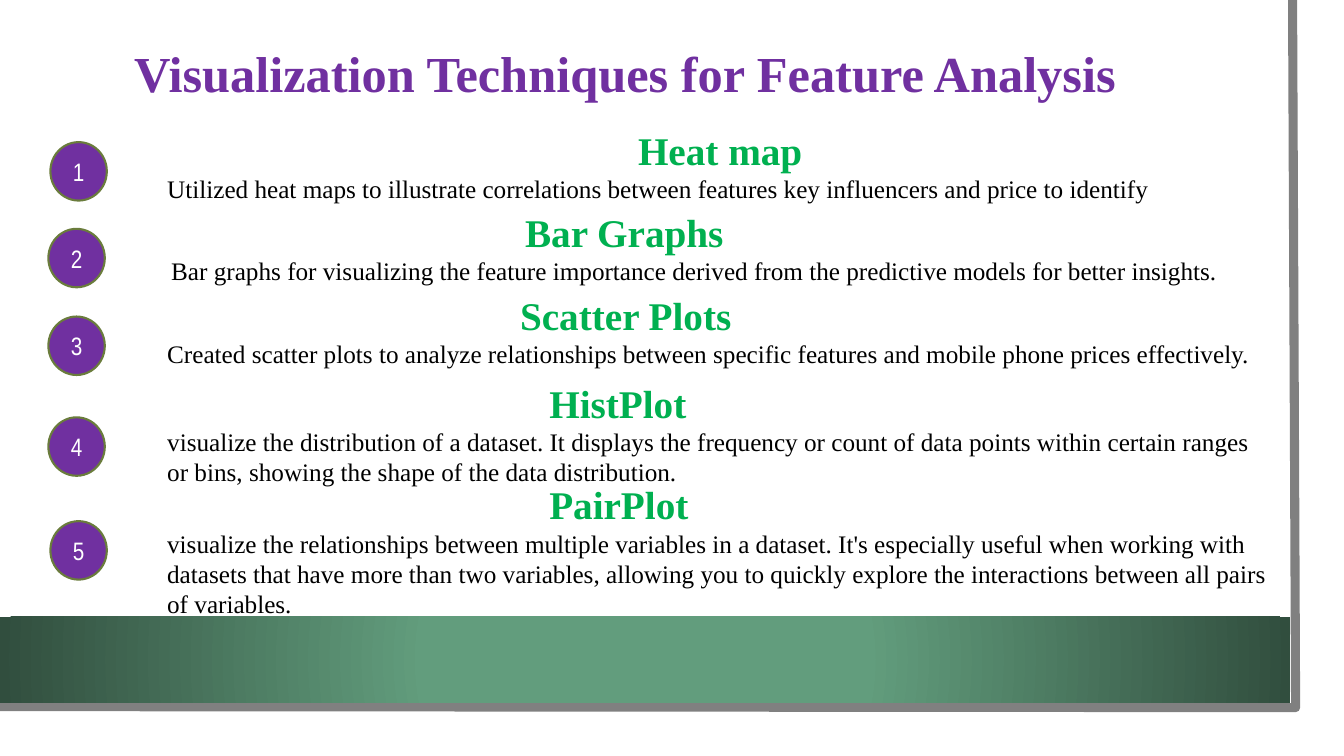
from lxml import etree
from pptx import Presentation
from pptx.dml.color import RGBColor
from pptx.enum.shapes import MSO_SHAPE
from pptx.enum.text import MSO_ANCHOR, MSO_AUTO_SIZE, PP_ALIGN
from pptx.oxml import parse_xml
from pptx.util import Inches, Pt

RECT, OVAL = MSO_SHAPE.RECTANGLE, MSO_SHAPE.OVAL
TOP, MIDDLE = MSO_ANCHOR.TOP, MSO_ANCHOR.MIDDLE
LEFT, CENTER = PP_ALIGN.LEFT, PP_ALIGN.CENTER
NO_FIT = MSO_AUTO_SIZE.NONE
NS = "http://schemas.openxmlformats.org/drawingml/2006/main"

COLORS = {
    "white": "FFFFFF",
    "black": "000000",
    "purple": "7030A0",
    "green": "00B050",
    "olive": "6A7C3C",
    "gray": "808080",
    "band_light": "629D7D",
    "band_dark": "314E3E",
}
SERIF, NARROW = "Times New Roman", "Arial Narrow"

TECHNIQUES = [
    ("Heat map",
     "Utilized heat maps to illustrate correlations between features key influencers and price to identify",
     (1.56, 1.2, 10.95, 0.88), 4.67, (0.5, 1.41)),
    ("Bar Graphs",
     "Bar graphs for visualizing the feature importance derived from the predictive models for better insights.",
     (1.6, 2.02, 11.13, 0.88), 3.51, (0.48, 2.27)),
    ("Scatter Plots",
     "Created scatter plots to analyze relationships between specific features and mobile phone prices effectively.",
     (1.56, 2.84, 10.95, 0.88), 3.5, (0.48, 3.14)),
    ("HistPlot",
     "visualize the distribution of a dataset. It displays the frequency or count of data points within "
     "certain ranges or bins, showing the shape of the data distribution.",
     (1.56, 3.71, 10.95, 1.18), 3.79, (0.48, 4.14)),
    ("PairPlot",
     "visualize the relationships between multiple variables in a dataset. It's especially useful when "
     "working with datasets that have more than two variables, allowing you to quickly explore the "
     "interactions between all pairs of variables.",
     (1.56, 4.72, 11.17, 1.48), 3.79, (0.5, 5.17)),
]


def rgb(name):
    return RGBColor.from_string(COLORS[name])


class SlideBuilder:
    def __init__(self, slide):
        self.s = slide

    def font(self, p, size, color, name=SERIF, bold=False):
        p.font.size = Pt(size)
        p.font.name = name
        p.font.bold = bold
        p.font.color.rgb = rgb(color)

    def shape(self, kind, box, fill, line=None):
        sp = self.s.shapes.add_shape(kind, *map(Inches, box))
        sp.shadow.inherit = False
        sp.fill.solid()
        sp.fill.fore_color.rgb = rgb(fill)
        if line:
            sp.line.color.rgb = rgb(line)
            sp.line.width = Pt(1.5)
        else:
            sp.line.fill.background()
        return sp

    def band(self, box):
        sp = self.shape(RECT, box, "band_light")
        solid = sp._element.spPr.find(f"{{{NS}}}solidFill")
        grad = parse_xml(f'<a:gradFill xmlns:a="{NS}" rotWithShape="1"/>')
        stops = etree.SubElement(grad, f"{{{NS}}}gsLst")
        for pos, color in ((34000, "band_light"), (100000, "band_dark")):
            stop = etree.SubElement(stops, f"{{{NS}}}gs", pos=str(pos))
            etree.SubElement(stop, f"{{{NS}}}srgbClr", val=COLORS[color])
        focus = etree.SubElement(grad, f"{{{NS}}}path", path="circle")
        sides = {side: "50000" for side in "ltrb"}
        etree.SubElement(focus, f"{{{NS}}}fillToRect", **sides)
        solid.getparent().replace(solid, grad)

    def edge(self, points):
        pts = [(Inches(x), Inches(y)) for x, y in points]
        builder = self.s.shapes.build_freeform(*pts[0])
        builder.add_line_segments(pts[1:], close=False)
        sp = builder.convert_to_shape()
        sp.shadow.inherit = False
        sp.fill.background()
        sp.line.color.rgb = rgb("gray")
        sp.line.width = Pt(6.5)

    def title(self, text, box):
        sp = self.s.shapes.title
        sp.left, sp.top, sp.width, sp.height = map(Inches, box)
        sp._element.getparent().append(sp._element)
        tf = sp.text_frame
        tf.text = text
        tf.word_wrap = True
        tf.auto_size = NO_FIT
        tf.vertical_anchor = TOP
        p = tf.paragraphs[0]
        p.alignment = LEFT
        self.font(p, 36, "purple", bold=True)

    def badge(self, number, at):
        sp = self.shape(OVAL, (*at, 0.56, 0.58), "purple", "olive")
        tf = sp.text_frame
        tf.text = str(number)
        tf.vertical_anchor = MIDDLE
        p = tf.paragraphs[0]
        p.alignment = CENTER
        self.font(p, 18, "white", NARROW)

    def technique(self, heading, body, box, indent):
        tf = self.s.shapes.add_textbox(*map(Inches, box)).text_frame
        tf.word_wrap = True
        p = tf.paragraphs[0]
        p.text = heading
        p._p.get_or_add_pPr().set("marL", str(Inches(indent)))
        self.font(p, 28, "green", bold=True)
        p = tf.add_paragraph()
        p.text = body
        self.font(p, 18, "black")


def main():
    prs = Presentation()
    prs.slide_width, prs.slide_height = Inches(13.33), Inches(7.5)
    slide = SlideBuilder(prs.slides.add_slide(prs.slide_layouts[5]))
    slide.shape(RECT, (0, 0, 13.1, 7.27), "white")
    slide.edge([(12.82, 0), (12.85, 7.02), (-0.03, 7.01)])
    slide.band((0, 6.12, 12.8, 0.85))
    slide.title("Visualization Techniques for Feature Analysis", (1.23, 0.37, 10.17, 0.71))
    for number, (heading, body, box, indent, at) in enumerate(TECHNIQUES, 1):
        slide.badge(number, at)
        slide.technique(heading, body, box, indent)
    prs.save("out.pptx")


if __name__ == "__main__":
    main()
